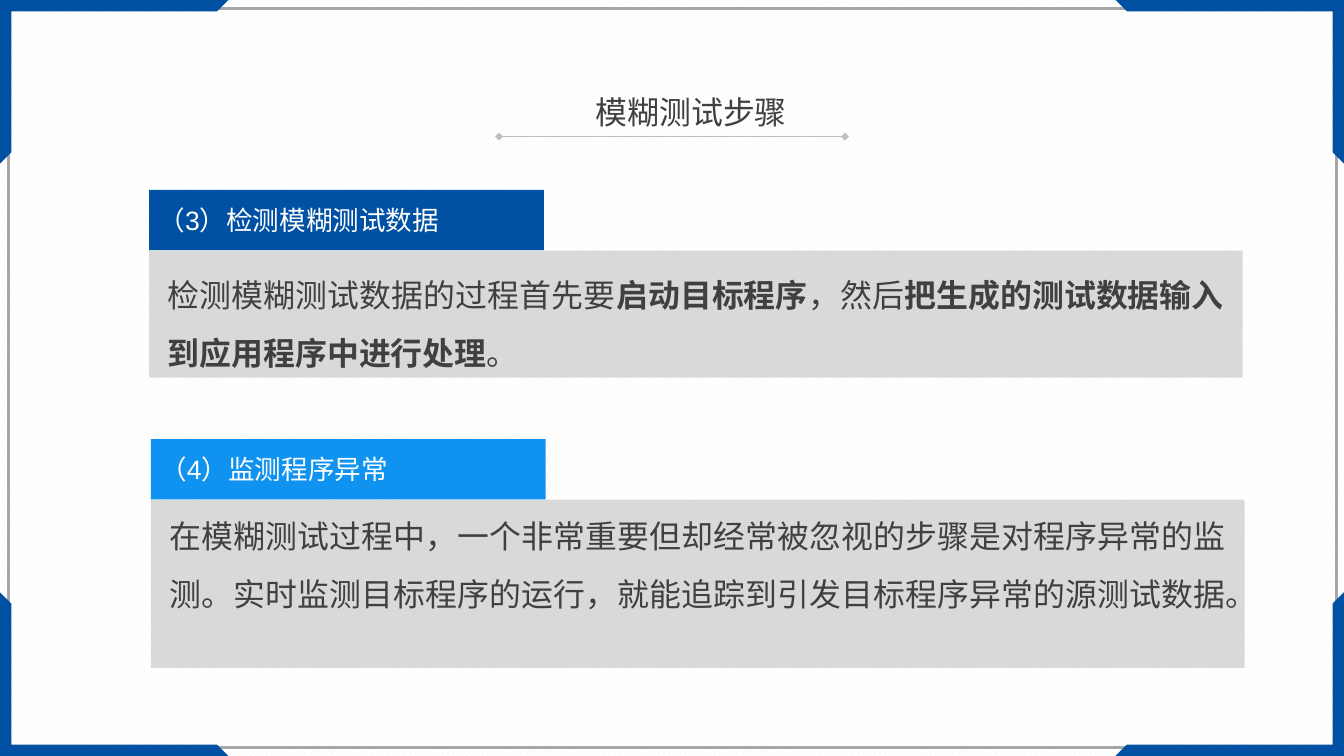
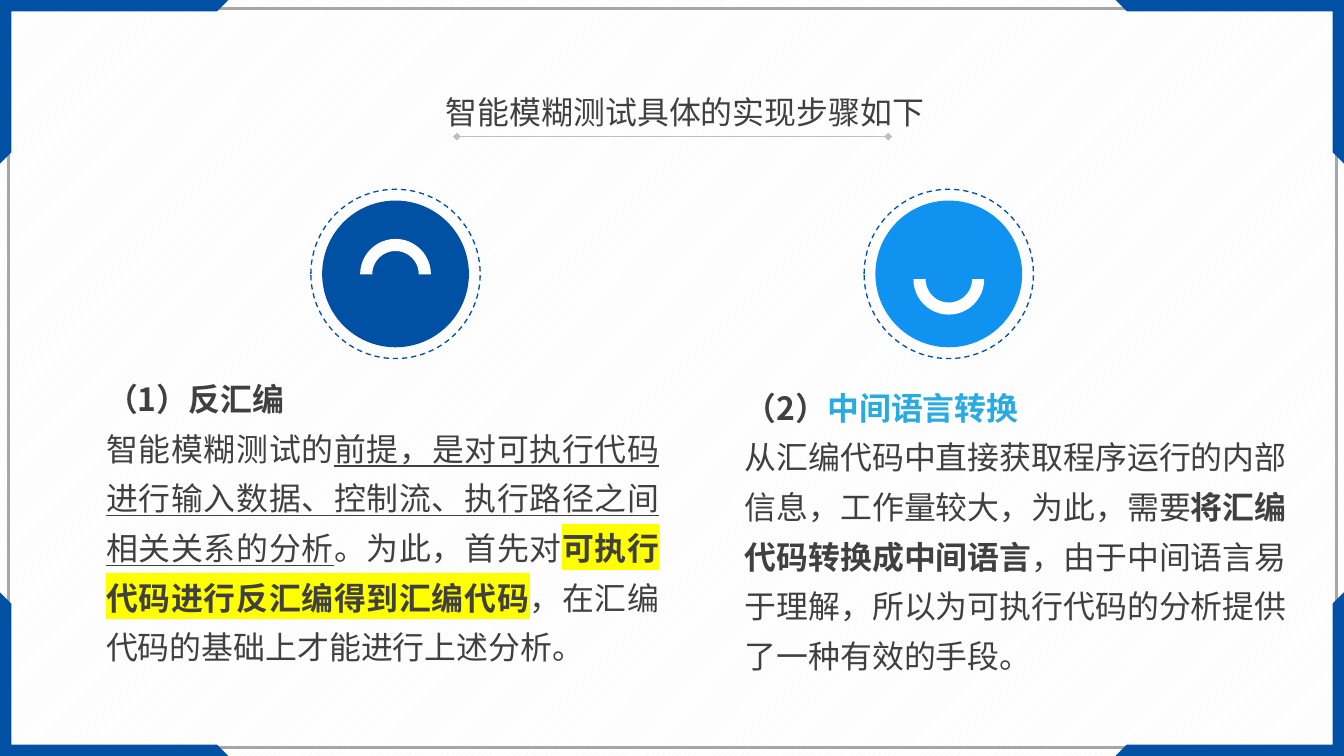
from dataclasses import dataclass

from lxml.etree import SubElement
from pptx import Presentation
from pptx.dml.color import RGBColor as Color
from pptx.enum.dml import MSO_LINE, MSO_PATTERN
from pptx.enum.lang import MSO_LANGUAGE_ID as Language
from pptx.enum.shapes import MSO_CONNECTOR, MSO_SHAPE as Preset
from pptx.enum.text import MSO_ANCHOR as Anchor, MSO_AUTO_SIZE, PP_ALIGN as Align
from pptx.oxml.ns import qn
from pptx.util import Cm, Pt


@dataclass(frozen=True)
class Theme:
    """Colours, fonts and type sizes of the deck."""
    navy: str = "0050A3"
    blue: str = "1092F1"
    sky: str = "29ABE2"
    ink: str = "404040"
    white: str = "FFFFFF"
    panel: str = "D9D9D9"
    border: str = "A6A6A6"
    rule: str = "BFBFBF"
    stripe: str = "F2F2F2"
    marker: str = "FFFF00"
    chinese: str = "Noto Sans CJK SC"
    latin: str = "Arial"
    body_size: int = 24
    label_size: int = 20


THEME = Theme()
WIDTH, HEIGHT = 35.71, 20.09
BOLD = {"bold": True}


def place(box):
    """Turn a (left, top, width, height) box in centimetres into lengths."""
    return [Cm(value) for value in box]


def paint(shape, fill=None, line=None, weight=1):
    """Give a shape a flat fill and outline, without shadow."""
    shape.shadow.inherit = False
    if fill:
        shape.fill.solid()
        shape.fill.fore_color.rgb = Color.from_string(fill)
    else:
        shape.fill.background()
    if line:
        shape.line.color.rgb = Color.from_string(line)
        shape.line.width = Pt(weight)
    else:
        shape.line.fill.background()
    return shape


def add_preset(page, preset, box, **look):
    """Add a painted preset shape in the given box."""
    return paint(page.shapes.add_shape(preset, *place(box)), **look)


def style_run(run, font=THEME.chinese, size=THEME.body_size, color=THEME.ink,
              bold=False, underline=False, highlight=None):
    """Format one run, with the same Chinese font throughout."""
    run.font.size = Pt(size)
    run.font.bold = bold
    run.font.underline = underline
    run.font.language_id = Language.SIMPLIFIED_CHINESE
    run.font.color.rgb = Color.from_string(color)
    properties = run.font._element
    if highlight:
        marker = SubElement(properties, qn("a:highlight"))
        SubElement(marker, qn("a:srgbClr")).set("val", highlight)
    run.font.name = font
    SubElement(properties, qn("a:ea")).set("typeface", THEME.chinese)


def write(para, spans, align=Align.LEFT, spacing=1.0, **base):
    """Fill a paragraph with (text, style) spans."""
    para.alignment = align
    para.line_spacing = spacing
    for text, style in spans:
        run = para.add_run()
        run.text = text
        style_run(run, **{**base, **style})


def set_frame(frame, anchor, side=0.25, edge=0.13):
    """Set wrapping, anchor and insets of a text frame."""
    frame.word_wrap = True
    frame.auto_size = MSO_AUTO_SIZE.NONE
    frame.vertical_anchor = anchor
    frame.margin_left = frame.margin_right = Cm(side)
    frame.margin_top = frame.margin_bottom = Cm(edge)


def add_corner(page, flip_x, flip_y):
    """Draw one corner bracket, mirrored to its corner of the page."""
    across, down, band = 6.07, 4.35, 0.3
    outline = [(0, 0), (across, 0), (across - band, band), (band, band),
               (band, down - band), (0, down)]
    points = [(Cm(WIDTH - x if flip_x else x), Cm(HEIGHT - y if flip_y else y))
              for x, y in outline]
    builder = page.shapes.build_freeform(*points[0])
    builder.add_line_segments(points[1:])
    return paint(builder.convert_to_shape(), fill=THEME.navy)


def decorate_layout(layout, page):
    """Put the striped ground, border and corner brackets on the layout."""
    ground = layout.background.fill
    ground.patterned()
    ground.pattern = MSO_PATTERN.WIDE_UPWARD_DIAGONAL
    ground.fore_color.rgb = Color.from_string(THEME.stripe)
    ground.back_color.rgb = Color.from_string(THEME.white)
    border = add_preset(page, Preset.RECTANGLE, (0.23, 0.23, 35.28, 19.63),
                        line=THEME.border, weight=2)
    corners = [add_corner(page, flip_x, flip_y)
               for flip_x in (False, True) for flip_y in (False, True)]
    for shape in [border, *corners]:
        layout.shapes.element.append(shape.element)


def add_title(page, text, box, rule_start, rule_end):
    """Place the title in its box, with a diamond-ended rule below."""
    title = page.shapes.title
    title.left, title.top, title.width, title.height = place(box)
    set_frame(title.text_frame, Anchor.MIDDLE, 0, 0)
    write(title.text_frame.paragraphs[0], [(text, {})], Align.CENTER)
    rule_y = Cm(box[1] + box[3] + 0.02)
    rule = page.shapes.add_connector(MSO_CONNECTOR.STRAIGHT, Cm(rule_start),
                                     rule_y, Cm(rule_end), rule_y)
    rule.line.color.rgb = Color.from_string(THEME.rule)
    rule.line.width = Pt(0.5)
    for end in ("a:headEnd", "a:tailEnd"):
        SubElement(rule.line._ln, qn(end)).set("type", "diamond")
    SubElement(rule.element.spPr, qn("a:effectLst"))


def add_step_panel(page, box, label, color, spans):
    """Draw a grey text panel with a coloured label on top."""
    left, top, width, height = box
    label_height, offset = 1.6, 1.61
    panel = add_preset(page, Preset.RECTANGLE,
                       (left, top + offset, width, height - offset), fill=THEME.panel)
    set_frame(panel.text_frame, Anchor.MIDDLE, side=0.5)
    write(panel.text_frame.paragraphs[0], spans, Align.JUSTIFY, 1.5, font=THEME.latin)
    tab = add_preset(page, Preset.RECTANGLE, (left, top, 10.49, label_height), fill=color)
    set_frame(tab.text_frame, Anchor.MIDDLE)
    write(tab.text_frame.paragraphs[0], [(label, {})], font=THEME.latin,
          size=THEME.label_size, color=THEME.white)


def add_badge(page, box, color, arc_offset, turn):
    """Draw a disc in a dashed ring, with a white half ring inside."""
    left, top, size, _ = box
    ring = add_preset(page, Preset.OVAL, box, line=THEME.navy)
    ring.line.dash_style = MSO_LINE.DASH
    gap, arc_size = 0.3, 1.88
    disc_size = size - 2 * gap
    add_preset(page, Preset.OVAL, (left + gap, top + gap, disc_size, disc_size), fill=color)
    arc = add_preset(page, Preset.BLOCK_ARC,
                     (left + (size - arc_size) / 2, top + arc_offset, arc_size, arc_size),
                     fill=THEME.white)
    for index, value in enumerate((108, 0, 0.171)):
        arc.adjustments[index] = value
    arc.rotation = turn


def add_column(page, box, heading, spans, align):
    """Write a bold heading and a body paragraph in one text box."""
    frame = page.shapes.add_textbox(*place(box)).text_frame
    set_frame(frame, Anchor.TOP, side=0.23)
    write(frame.paragraphs[0], heading, align, bold=True)
    write(frame.add_paragraph(), spans, align, 1.3)


def fill_steps_page(page):
    """Build the slide with steps three and four as panels."""
    add_title(page, "模糊测试步骤", (7.06, 2.34, 22.61, 1.27), 13.26, 22.45)
    add_step_panel(page, (3.96, 5.05, 29.06, 4.99), "（3）检测模糊测试数据", THEME.navy, [
        ("检测模糊测试数据的过程首先要", {}),
        ("启动目标程序", BOLD),
        ("，然后", {}),
        ("把生成的测试数据输入到应用程序中进行处理", BOLD),
        ("。", {})])
    add_step_panel(page, (4.01, 11.67, 29.06, 6.08), "（4）监测程序异常", THEME.blue, [
        ("在模糊测试过程中，一个非常重要但却经常被忽视的步骤是对程序异常的监测。"
         "实时监测目标程序的运行，就能追踪到引发目标程序异常的源测试数据。 ", {})])


def fill_smart_page(page):
    """Build the slide with steps one and two as columns under badges."""
    add_title(page, "智能模糊测试具体的实现步骤如下", (11.53, 2.34, 13.34, 1.27), 12.14, 23.6)
    add_column(page, (2.59, 9.96, 15.16, 7.92), [("（1）反汇编", {})], [
        ("智能模糊测试的", {}),
        ("前提，是对可执行代码进行输入数据、控制流、执行路径之间相关关系的分析",
         {"underline": True}),
        ("。为此，首先对", {}),
        ("可执行代码进行反汇编得到汇编代码", {**BOLD, "highlight": THEME.marker}),
        ("，在汇编代码的基础上才能进行上述分析。", {})], Align.JUSTIFY)
    add_column(page, (19.56, 10.19, 15.16, 7.8),
               [("（2）", {}), ("中间语言转换", {"color": THEME.sky})], [
        ("从汇编代码中直接获取程序运行的内部信息，工作量较大，为此，需要", {}),
        ("将汇编代码转换成中间语言", BOLD),
        ("，由于中间语言易于理解，所以为可执行代码的分析提供了一种有效的手段。", {})],
        Align.LEFT)
    add_badge(page, (8.26, 5.03, 4.5, 4.5), THEME.navy, 1.32, 0)
    add_badge(page, (22.96, 5.03, 4.5, 4.5), THEME.blue, 1.45, 180)


def main():
    """Build and save the deck."""
    deck = Presentation()
    deck.slide_width, deck.slide_height = Cm(WIDTH), Cm(HEIGHT)
    layout = deck.slide_layouts[5]
    for holder in list(layout.placeholders)[1:]:
        layout.shapes.element.remove(holder.element)
    steps_page, smart_page = [deck.slides.add_slide(layout) for _ in range(2)]
    decorate_layout(layout, steps_page)
    fill_steps_page(steps_page)
    fill_smart_page(smart_page)
    deck.save("out.pptx")


main()
